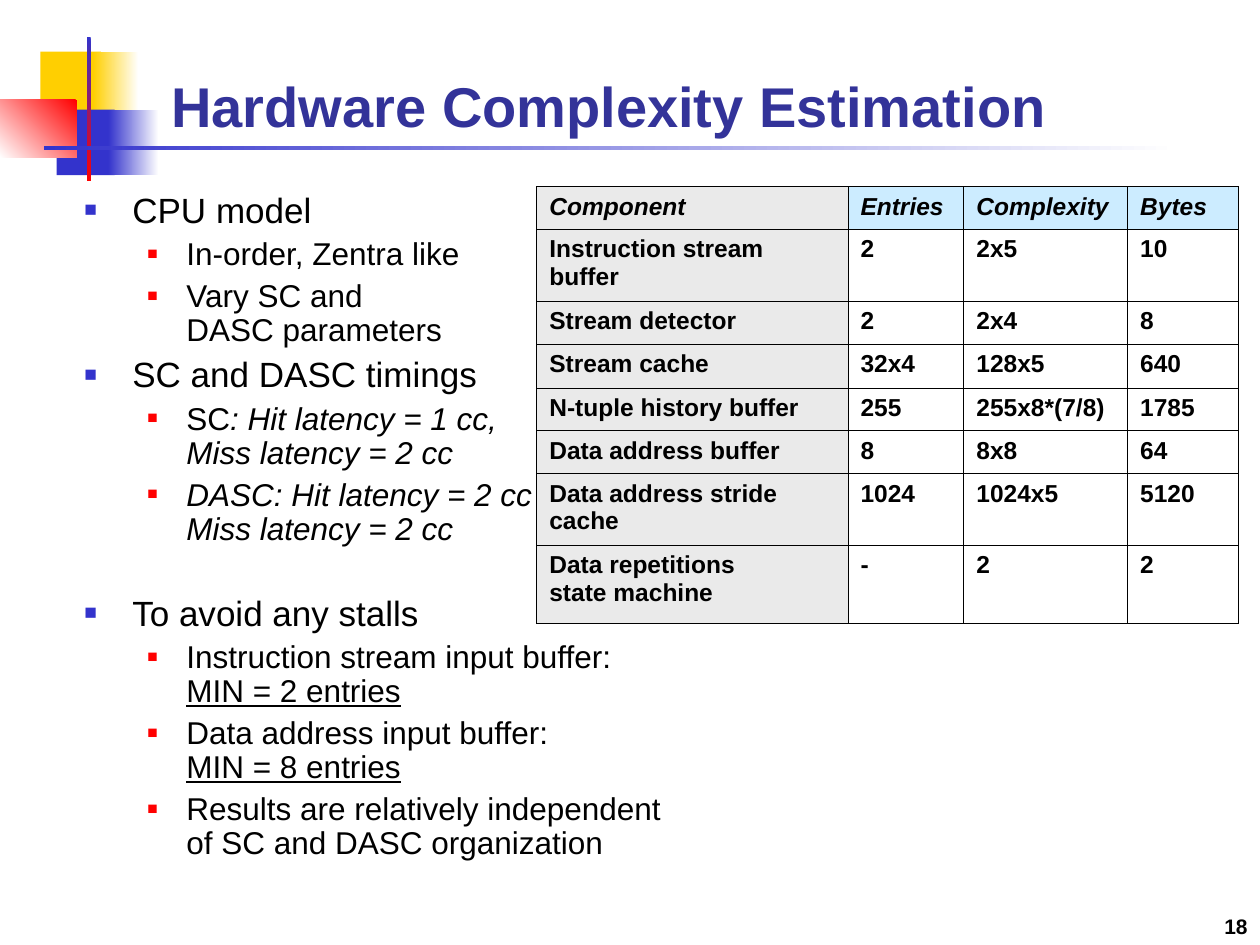
"""Build the hardware complexity estimation slide."""
import lxml.etree
import pptx
import pptx.dml.color
import pptx.enum.shapes
import pptx.enum.text
import pptx.oxml.ns
import pptx.util

Inches = pptx.util.Inches
Pt = pptx.util.Pt
qn = pptx.oxml.ns.qn
Anchor = pptx.enum.text.MSO_ANCHOR
Align = pptx.enum.text.PP_ALIGN

COLORS = {
    "black": "000000", "white": "FFFFFF", "navy": "333399", "blue": "3333CC",
    "red": "FF0000", "yellow": "FFCF01", "gray": "EAEAEA", "sky": "CCECFF",
}

DECORATION = [
    ((0.32, 0.41, 0.48, 0.52), ("yellow",), 0),
    ((0.74, 0.41, 0.36, 0.52), ("white", "yellow"), 180),
    ((0.45, 0.87, 0.46, 0.52), ("blue",), 0),
    ((0.86, 0.87, 0.4, 0.52), ("white", "blue"), 180),
    ((0, 0.79, 0.61, 0.46), ("red", "white"), 225),
    ((0.69, 0.29, 0.03, 1.15), ("blue", "red"), 270),
    ((0.35, 1.16, 9, 0.03), ("white", "blue"), 180),
]

LEVELS = [
    {"size": 20, "margin": 0.38, "indent": -0.38, "before": 5, "color": "blue", "percent": 60},
    {"size": 18, "margin": 0.81, "indent": -0.31, "before": 4.5, "color": "red", "percent": 55},
]

SECTION_GAP = 28
OUTLINE = [
    (0, None, [("CPU model", "")]),
    (1, None, [("In-order, Zentra like", "")]),
    (1, None, [("Vary SC and\nDASC parameters", "")]),
    (0, None, [("SC and DASC timings", "")]),
    (1, None, [("SC", ""), (": Hit latency = 1 cc,\nMiss latency = 2 cc", "i")]),
    (1, None, [("DASC: Hit latency = 2 cc\nMiss latency = 2 cc", "i")]),
    (0, SECTION_GAP, [("To avoid any stalls", "")]),
    (1, None, [("Instruction stream input buffer:\n", ""), ("MIN = 2 entries", "u")]),
    (1, None, [("Data address input buffer:\n", ""), ("MIN = 8 entries", "u")]),
    (1, None, [("Results are relatively independent of SC and DASC organization", "")]),
]

COLUMN_WIDTHS = [2.47, 0.92, 1.3, 0.88]
ROW_HEIGHTS = [0.34, 0.57, 0.34, 0.35, 0.34, 0.34, 0.57, 0.62]
COMPONENTS = [
    ("Component", "Entries", "Complexity", "Bytes"),
    ("Instruction stream buffer", "2", "2x5", "10"),
    ("Stream detector", "2", "2x4", "8"),
    ("Stream cache", "32x4", "128x5", "640"),
    ("N-tuple history buffer", "255", "255x8*(7/8)", "1785"),
    ("Data address buffer", "8", "8x8", "64"),
    ("Data address stride cache", "1024", "1024x5", "5120"),
    ("Data repetitions\nstate machine", "-", "2", "2"),
]


class SlideBuilder:
    def __init__(self, slide, font="Arial"):
        self.slide = slide
        self.font = font

    def color(self, name):
        return pptx.dml.color.RGBColor.from_string(COLORS[name])

    def add_text(self, paragraph, text, size, color="black", style=""):
        for index, line in enumerate(text.split("\n")):
            if index:
                paragraph.add_line_break()
            if not line:
                continue
            run = paragraph.add_run()
            run.text = line
            run.font.name = self.font
            run.font.size = Pt(size)
            run.font.color.rgb = self.color(color)
            run.font.bold = "b" in style
            run.font.italic = "i" in style
            run.font.underline = "u" in style

    def block(self, box, names, angle):
        shape = self.slide.shapes.add_shape(
            pptx.enum.shapes.MSO_SHAPE.RECTANGLE, *map(Inches, box))
        shape.shadow.inherit = False
        shape.line.fill.background()
        if len(names) == 1:
            shape.fill.solid()
            shape.fill.fore_color.rgb = self.color(names[0])
            return
        shape.fill.gradient()
        shape.fill.gradient_angle = angle
        for stop, name in zip(shape.fill.gradient_stops, names):
            stop.color.rgb = self.color(name)

    def placeholder(self, index, box, anchor):
        shape = self.slide.placeholders[index]
        self.slide.shapes._spTree.append(shape._element)
        shape.left, shape.top, shape.width, shape.height = map(Inches, box)
        frame = shape.text_frame
        frame.word_wrap = True
        frame.auto_size = pptx.enum.text.MSO_AUTO_SIZE.NONE
        frame.vertical_anchor = anchor
        return frame

    def title(self, text, box):
        paragraph = self.placeholder(0, box, Anchor.BOTTOM).paragraphs[0]
        paragraph.alignment = Align.LEFT
        self.add_text(paragraph, text, 32, "navy", "b")

    def bullet(self, paragraph, level):
        properties = paragraph._p.get_or_add_pPr()
        properties.set("marL", str(Inches(level["margin"])))
        properties.set("indent", str(Inches(level["indent"])))
        bullet_color = lxml.etree.SubElement(properties, qn("a:buClr"))
        lxml.etree.SubElement(bullet_color, qn("a:srgbClr"), val=COLORS[level["color"]])
        lxml.etree.SubElement(properties, qn("a:buSzPct"), val=str(level["percent"] * 1000))
        lxml.etree.SubElement(properties, qn("a:buFont"), typeface=self.font)
        lxml.etree.SubElement(properties, qn("a:buChar"), char="■")

    def outline(self, items, box):
        frame = self.placeholder(1, box, Anchor.TOP)
        for index, (depth, before, runs) in enumerate(items):
            paragraph = frame.add_paragraph() if index else frame.paragraphs[0]
            level = LEVELS[depth]
            paragraph.level = depth
            paragraph.line_spacing = 0.9
            paragraph.space_before = Pt(before or level["before"])
            self.bullet(paragraph, level)
            for text, style in runs:
                self.add_text(paragraph, text, level["size"], style=style)

    def border(self, cell):
        properties = cell._tc.get_or_add_tcPr()
        for side in ("lnL", "lnR", "lnT", "lnB"):
            line = lxml.etree.SubElement(properties, qn(f"a:{side}"), w=str(Pt(0.45)))
            fill = lxml.etree.SubElement(line, qn("a:solidFill"))
            lxml.etree.SubElement(fill, qn("a:srgbClr"), val=COLORS["black"])

    def table(self, rows, box):
        table = self.slide.shapes.add_table(
            len(rows), len(rows[0]), *map(Inches, box)).table
        table.first_row = table.horz_banding = False
        for column, width in zip(table.columns, COLUMN_WIDTHS):
            column.width = Inches(width)
        for row, height in zip(table.rows, ROW_HEIGHTS):
            row.height = Inches(height)
        for row_index, values in enumerate(rows):
            for column_index, value in enumerate(values):
                cell = table.cell(row_index, column_index)
                self.border(cell)
                if column_index and row_index:
                    cell.fill.background()
                else:
                    cell.fill.solid()
                    cell.fill.fore_color.rgb = self.color("sky" if column_index else "gray")
                style = "b" if row_index else "bi"
                self.add_text(cell.text_frame.paragraphs[0], value, 14, style=style)

    def page_number(self, text, box):
        frame = self.slide.shapes.add_textbox(*map(Inches, box)).text_frame
        frame.word_wrap = True
        frame.vertical_anchor = Anchor.BOTTOM
        paragraph = frame.paragraphs[0]
        paragraph.alignment = Align.RIGHT
        self.add_text(paragraph, text, 12, style="b")


def main():
    presentation = pptx.Presentation()
    presentation.slide_width = Inches(10)
    presentation.slide_height = Inches(7.5)
    builder = SlideBuilder(presentation.slides.add_slide(presentation.slide_layouts[1]))
    for box, names, angle in DECORATION:
        builder.block(box, names, angle)
    builder.title("Hardware Complexity Estimation", (1.26, 0.17, 8.52, 0.98))
    builder.outline(OUTLINE, (0.57, 1.48, 4.96, 5.44))
    builder.table(COMPONENTS, (4.26, 1.48, sum(COLUMN_WIDTHS), sum(ROW_HEIGHTS)))
    builder.page_number("18", (7.92, 7, 2.08, 0.5))
    presentation.save("out.pptx")


if __name__ == "__main__":
    main()
